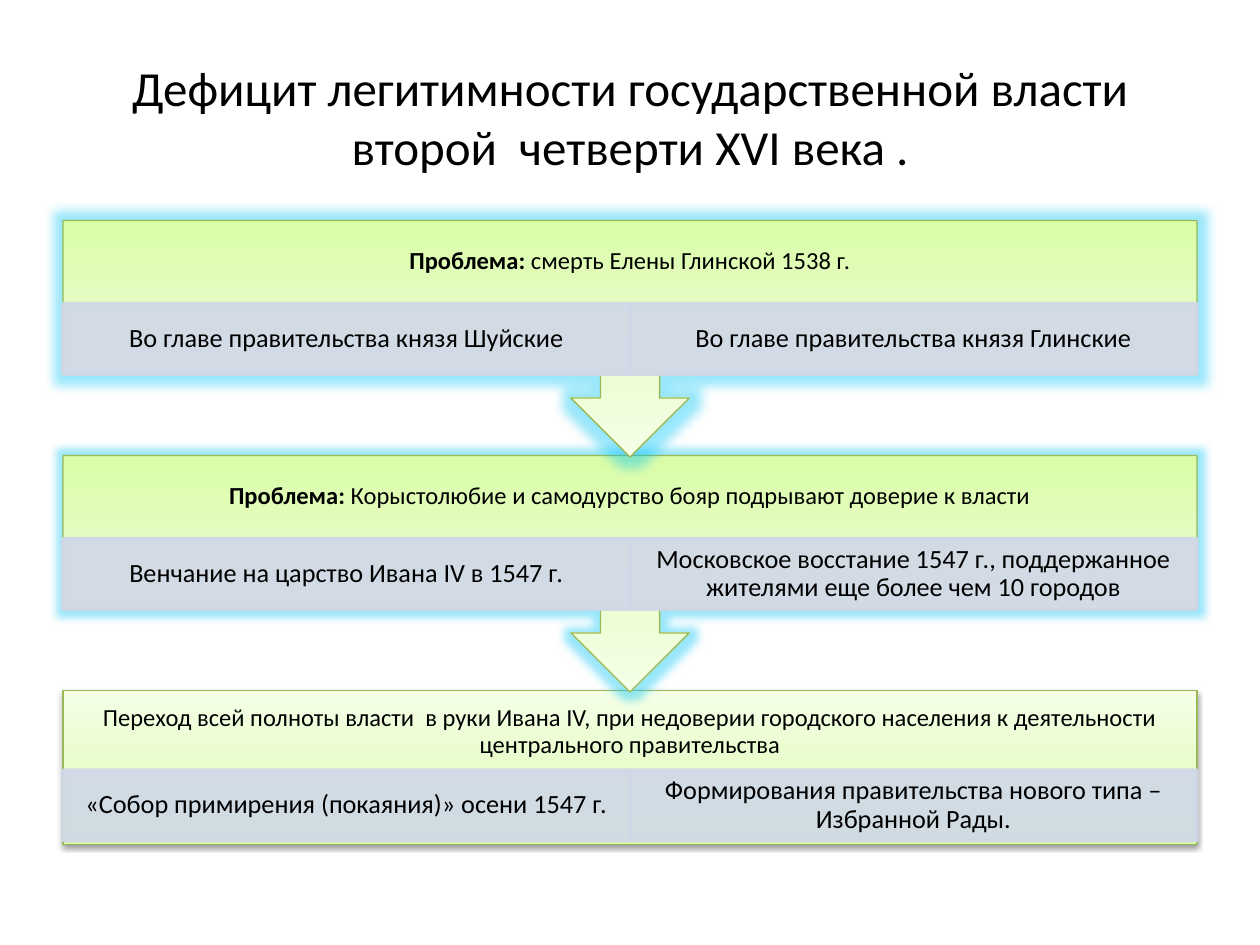
from lxml.etree import SubElement
from pptx import Presentation
from pptx.dml.color import RGBColor
from pptx.enum.shapes import MSO_SHAPE as SHAPE
from pptx.enum.text import MSO_ANCHOR as ANCHOR, PP_ALIGN as ALIGN
from pptx.oxml.ns import qn
from pptx.util import Pt

HEX = {"text": "000000", "cell": "D0D8E8", "edge": "98B955", "glow": "00C3F5"}
GRAD = [(0, "DAFDA7"), (35, "E4FCC2"), (100, "F5FFE7")]
LEFT, TOP, WIDTH, STEP = 36, 126, 648, 134.25
BAR_H, CALL_H, HEAD_H, CELL_H = 87.9, 135.2, 47.5, 40.3
STAGES = [
    ([("Проблема: ", True), ("смерть Елены Глинской 1538 г.", False)],
     ["Во главе правительства князя Шуйские",
      "Во главе правительства князя Глинские"]),
    ([("Проблема: ", True),
      ("Корыстолюбие и самодурство бояр подрывают доверие к власти", False)],
     ["Венчание на царство Ивана IV в 1547 г.",
      "Московское восстание 1547 г., поддержанное жителями еще более чем 10 городов"]),
    ([("Переход всей полноты власти  в руки Ивана IV, при недоверии городского "
       "населения к деятельности центрального правительства", False)],
     ["«Собор примирения (покаяния)» осени 1547 г.",
      "Формирования правительства нового типа – Избранной Рады."]),
]
GLOWS = [11, 8]


def rgb(name):
    return RGBColor.from_string(HEX[name])


def add_tag(parent, tag, **attrs):
    return SubElement(parent, qn(tag), {k: str(v) for k, v in attrs.items()})


def add_tint(parent, color, alpha):
    tint = add_tag(parent, "a:srgbClr", val=color)
    add_tag(tint, "a:alpha", val=alpha * 1000)


def write(shape, runs, size, pad, gap=None):
    """Fill a shape with one centred paragraph of (text, bold) runs."""
    frame = shape.text_frame
    frame.word_wrap = True
    frame.vertical_anchor = ANCHOR.MIDDLE
    frame.margin_left = frame.margin_right = Pt(pad[0])
    frame.margin_top = frame.margin_bottom = Pt(pad[1])
    para = frame.paragraphs[0]
    para.alignment = ALIGN.CENTER
    if gap:
        para.line_spacing = gap
    for text, bold in runs:
        run = para.add_run()
        run.text = text
        font = run.font
        font.name, font.size, font.bold = "Calibri", Pt(size), bold
        font.color.rgb = rgb("text")


def add_box(slide, kind, x, y, w, h):
    box = slide.shapes.add_shape(kind, Pt(x), Pt(y), Pt(w), Pt(h))
    box.shadow.inherit = False
    return box


def add_panel(slide, kind, x, y, w, h):
    """Add a green shape; return it with its empty effect list."""
    panel = add_box(slide, kind, x, y, w, h)
    panel.fill.gradient()
    panel.fill.gradient_angle = 90
    stops = panel._element.spPr.find(".//" + qn("a:gsLst"))
    for stop in list(stops):
        stops.remove(stop)
    for pos, color in GRAD:
        stop = add_tag(stops, "a:gs", pos=pos * 1000)
        add_tag(stop, "a:srgbClr", val=color)
    panel.line.color.rgb = rgb("edge")
    panel.line.width = Pt(0.75)
    return panel, panel._element.spPr.find(qn("a:effectLst"))


def add_cell(slide, x, y, w, h, text):
    cell = add_box(slide, SHAPE.RECTANGLE, x, y, w, h)
    for fill in (cell.fill, cell.line.fill):
        fill.solid()
        fill.fore_color.rgb = rgb("cell")
    cell.line.width = Pt(2)
    for tint in cell._element.spPr.iter(qn("a:srgbClr")):
        add_tag(tint, "a:alpha", val=90000)
    write(cell, [(text, False)], 15, (8.4, 1.2), 0.9)


def add_stage(slide, x, y, w, stage, glow=None):
    """Add one step: a callout with a glow, or the last bar with a shadow."""
    head, cells = stage
    if glow:
        panel, effects = add_panel(slide, SHAPE.UP_ARROW_CALLOUT, x, y, w, CALL_H)
        panel.rotation = 180
        halo = add_tag(effects, "a:glow", rad=Pt(glow))
        add_tint(halo, HEX["glow"], 40)
    else:
        panel, effects = add_panel(slide, SHAPE.RECTANGLE, x, y, w, BAR_H)
        shade = add_tag(effects, "a:outerShdw", blurRad=Pt(3.1), dist=Pt(1.6),
                        dir=90 * 60000, rotWithShape=0)
        add_tint(shade, HEX["text"], 38)
    title = slide.shapes.add_textbox(Pt(x), Pt(y), Pt(w), Pt(HEAD_H))
    write(title, head, 14, (7.9, 7.9), 0.9)
    drop = HEAD_H if glow else BAR_H - CELL_H - 2
    wide = w / len(cells)
    for i, text in enumerate(cells):
        add_cell(slide, x + i * wide, y + drop, wide, CELL_H, text)


def add_title(slide, x, y, w, h):
    title = slide.shapes.add_textbox(Pt(x), Pt(y), Pt(w), Pt(h))
    text = "Дефицит легитимности государственной власти второй  четверти XVI века ."
    write(title, [(text, False)], 28, (7.2, 3.6))


def main():
    deck = Presentation()
    deck.slide_width, deck.slide_height = Pt(720), Pt(540)
    slide = deck.slides.add_slide(deck.slide_layouts[6])
    add_title(slide, LEFT, 21.6, WIDTH, 90)
    # Later steps lie behind, so each arrow tip covers the next step
    for i in reversed(range(len(STAGES))):
        glow = GLOWS[i] if i < len(GLOWS) else None
        add_stage(slide, LEFT, TOP + i * STEP, WIDTH, STAGES[i], glow)
    deck.save("out.pptx")


if __name__ == "__main__":
    main()
